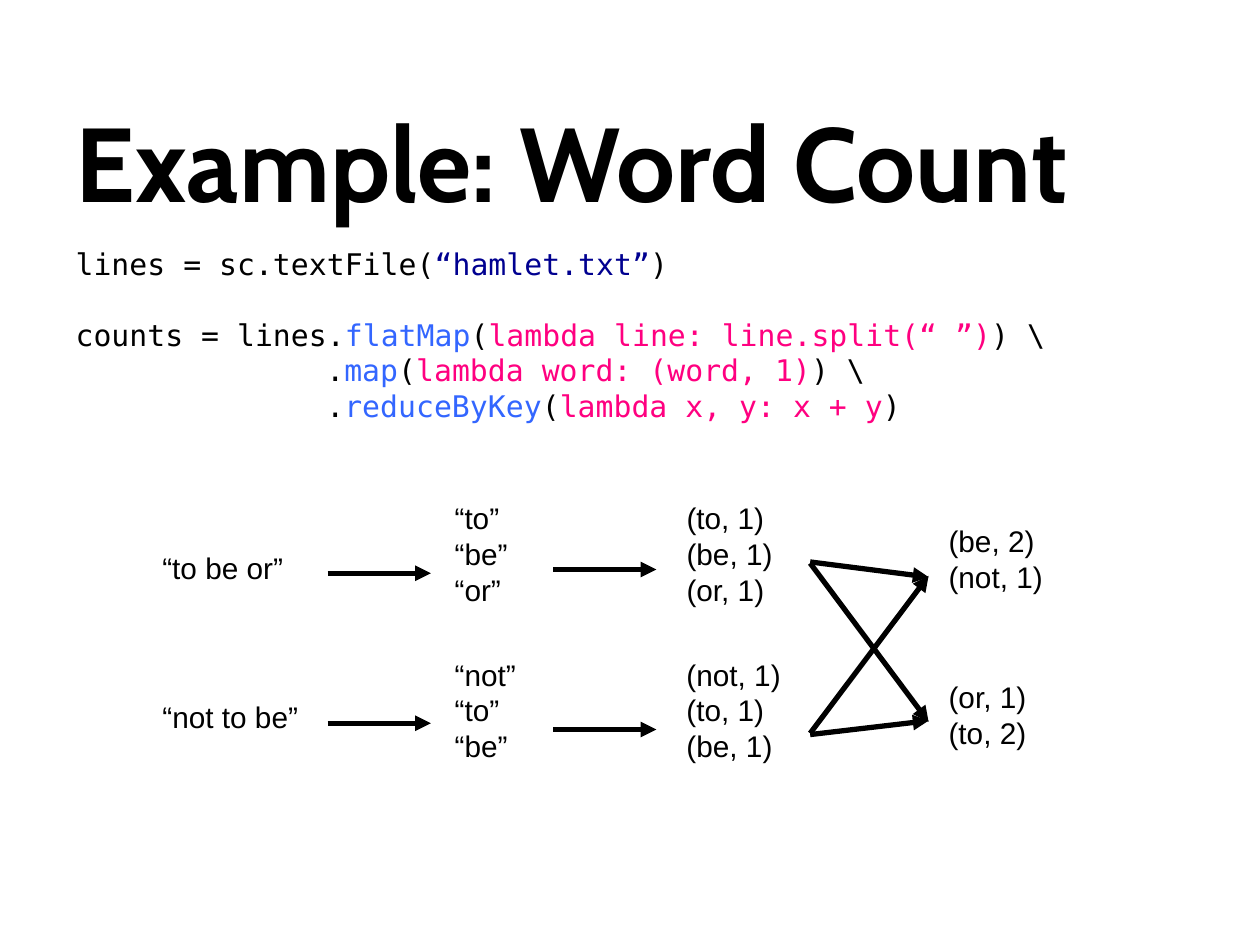
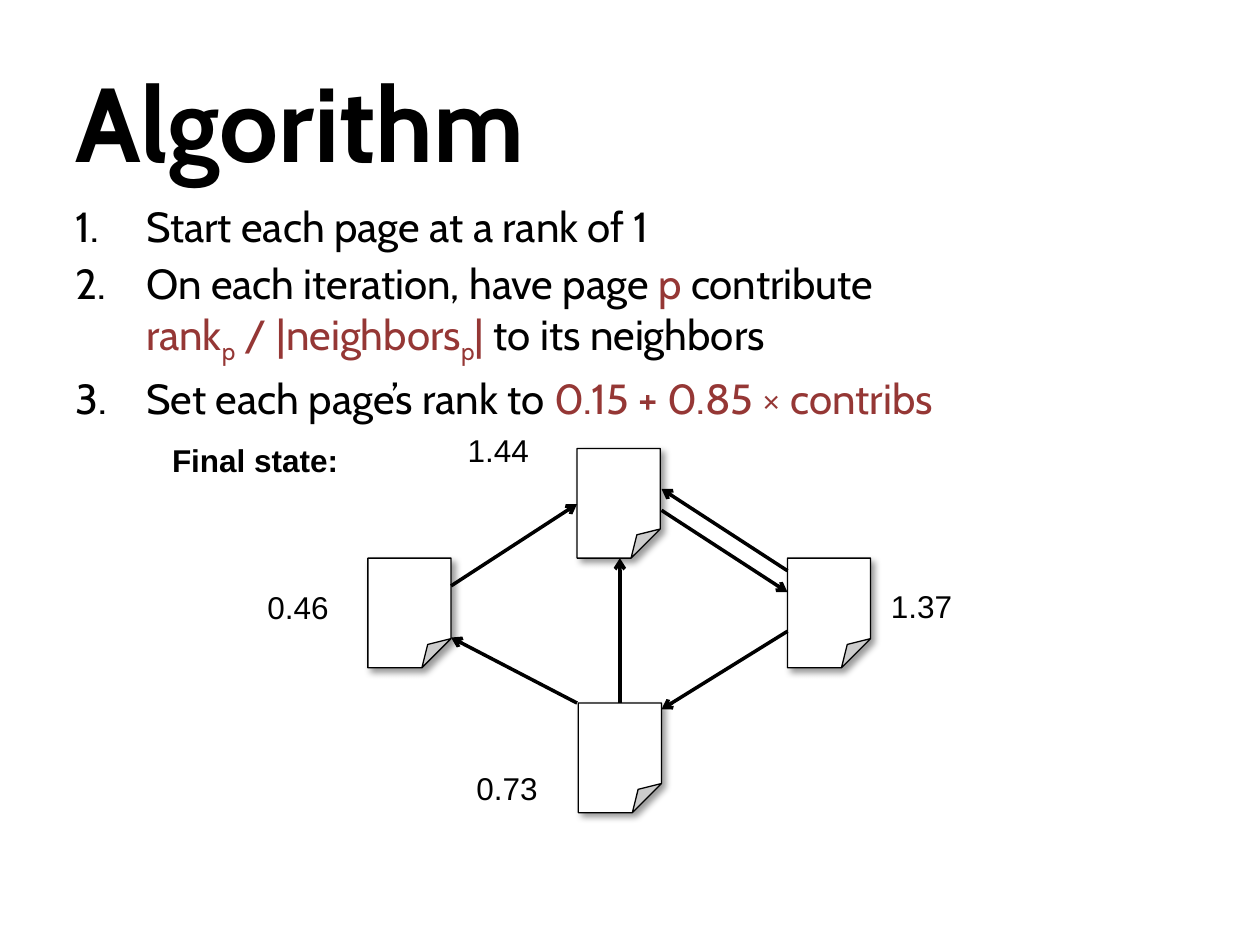
"""Build two slides: a word count data flow and a page rank algorithm."""
import pptx
import pptx.util
import pptx.dml.color
import pptx.enum.shapes
import pptx.enum.text
import pptx.oxml
import pptx.oxml.ns
import lxml.etree
from dataclasses import dataclass

Inches, Pt = pptx.util.Inches, pptx.util.Pt
Align = pptx.enum.text.PP_ALIGN
Fit = pptx.enum.text.MSO_AUTO_SIZE
Shape = pptx.enum.shapes.MSO_SHAPE


@dataclass(frozen=True)
class Theme:
    """Colours, fonts and type sizes."""
    black: str = "000000"
    white: str = "FFFFFF"
    navy: str = "000090"
    blue: str = "3366FF"
    pink: str = "FF0080"
    red: str = "953735"
    head: str = "Cabin"
    mono: str = "DejaVu Sans Mono"
    sans: str = "Arial"
    title: int = 60
    list: int = 24
    code: int = 17
    flow: int = 17
    rank: int = 18


T = Theme()

CODE = [
    [("lines = sc.textFile(", T.black), ("“hamlet.txt”", T.navy), (")", T.black)],
    [("counts = lines.", T.black), ("flatMap", T.blue), ("(", T.black),
     ("lambda line: line.split(“ ”)", T.pink), (") \\\n.", T.black),
     ("map", T.blue), ("(", T.black), ("lambda word: (word, 1)", T.pink),
     (") \\\n.", T.black), ("reduceByKey", T.blue), ("(", T.black),
     ("lambda x, y: x + y", T.pink), (")", T.black)],
]
STEPS = [
    [("Start each page at a rank of 1", T.black)],
    [("On each iteration, have page ", T.black), ("p", T.red),
     (" contribute\n", T.black), ("rank", T.red), ("p", T.red, "sub"),
     (" / |neighbors", T.red), ("p", T.red, "sub"), ("|", T.red),
     (" to its neighbors", T.black)],
    [("Set each page’s rank to ", T.black), ("0.15 + 0.85 × contribs", T.red)],
]

FLOW = [
    (1.19, [(4.31, 1.17, "“to be or”"), (5.5, 1.29, "“not to be”")]),
    (3.51, [(3.92, 0.63, "“to”\n“be”\n“or”"), (5.16, 0.69, "“not”\n“to”\n“be”")]),
    (5.35, [(3.92, 0.89, "(to, 1)\n(be, 1)\n(or, 1)"),
            (5.16, 0.96, "(not, 1)\n(to, 1)\n(be, 1)")]),
    (7.43, [(4.1, 0.96, "(be, 2)\n(not, 1)"), (5.34, 0.82, "(or, 1)\n(to, 2)")]),
]
STRAIGHT = [(2.6, 4.55), (2.6, 5.74), (4.39, 4.52), (4.39, 5.79)]
REACH = 0.82
CROSS = [(4.47, 5.73), (4.46, 4.58), (5.82, 4.57), (5.83, 5.72)]
CROSS_X = (6.43, 7.37)

PAGE = (0.66, 0.87)
PAGES = [(2.92, 4.43), (4.58, 3.56), (6.25, 4.43), (4.59, 5.58)]
LINKS = [
    (4.58, 5.58, 3.58, 5.06), (4.92, 5.58, 4.92, 4.43),
    (3.58, 4.65, 4.58, 4), (6.25, 4.53, 5.25, 3.88),
    (5.25, 4.05, 6.25, 4.7), (6.25, 5.01, 5.25, 5.63),
]
RANKS = [
    (1.88, 4.55, 0.97, "0.46"), (6.83, 4.54, 0.97, "1.37"),
    (3.47, 3.3, 0.97, "1.44"), (3.54, 5.98, 0.97, "0.73"),
    (1.12, 3.38, 1.81, "Final state:"),
]


def rgb(code):
    return pptx.dml.color.RGBColor.from_string(code)


def add(parent, tag, **attrs):
    node = lxml.etree.SubElement(parent, pptx.oxml.ns.qn(tag))
    for name, value in attrs.items():
        node.set(name, str(value))
    return node


def style(para, face, size, color=T.black, bold=None):
    font = para.font
    font.name, font.size, font.bold = face, Pt(size), bold
    font.color.rgb = rgb(color)


def place(shape, left, top, width, height):
    shape.left, shape.top = Inches(left), Inches(top)
    shape.width, shape.height = Inches(width), Inches(height)


def add_slide(deck, title, top):
    slide = deck.slides.add_slide(deck.slide_layouts[1])
    place(slide.shapes.title, 0.5, top, 9, 1.25)
    slide.shapes.title.text = title
    para = slide.shapes.title.text_frame.paragraphs[0]
    para.alignment = Align.LEFT
    style(para, T.head, T.title, bold=True)
    return slide


def fill_body(slide, box, paras, face, size, hang, gaps, mark, **kind):
    body = slide.placeholders[1]
    place(body, *box)
    frame = body.text_frame
    frame.auto_size = Fit.NONE
    for i, (runs, gap) in enumerate(zip(paras, gaps)):
        para = frame.add_paragraph() if i else frame.paragraphs[0]
        props = para._p.get_or_add_pPr()
        props.set("marL", str(Inches(hang)))
        props.set("indent", str(-Inches(hang)))
        add(props, mark, **kind)
        para.space_before = Pt(gap)
        style(para, face, size)
        for text, color, *sub in runs:
            for j, part in enumerate(text.split("\n")):
                if j:
                    para.add_line_break()
                if part:
                    run = para.add_run()
                    run.text = part
                    run.font.color.rgb = rgb(color)
                    if sub:
                        run._r.get_or_add_rPr().set("baseline", "-25000")


def add_label(slide, box, text, size, inset=(0.1, 0.05), align=Align.LEFT, bold=None):
    frame = slide.shapes.add_textbox(*map(Inches, box)).text_frame
    frame.word_wrap, frame.auto_size = False, Fit.SHAPE_TO_FIT_TEXT
    frame.margin_left = frame.margin_right = Inches(inset[0])
    frame.margin_top = frame.margin_bottom = Inches(inset[1])
    para = frame.paragraphs[0]
    para.text = text.replace("\n", "\v")
    para.alignment = align
    style(para, T.sans, size, bold=bold)


def add_arrow(slide, ends, width, tip):
    kind = pptx.enum.shapes.MSO_CONNECTOR.STRAIGHT
    link = slide.shapes.add_connector(kind, *map(Inches, ends))
    link.line.color.rgb = rgb(T.black)
    link.line.width = Pt(width)
    add(link.line._get_or_add_ln(), "a:tailEnd", type=tip)
    add(link._element.spPr, "a:effectLst")


def add_page(slide, spot):
    page = slide.shapes.add_shape(Shape.FOLDED_CORNER, *map(Inches, spot + PAGE))
    props = page._element.spPr
    fold = next(props.iter(pptx.oxml.ns.qn("a:avLst")))
    add(fold, "a:gd", name="adj", fmla="val 35000")
    page.fill.solid()
    page.fill.fore_color.rgb = rgb(T.white)
    page.line.color.rgb = rgb(T.black)
    page.line.width = Pt(0.75)
    page.shadow.inherit = False
    effect = props.find(pptx.oxml.ns.qn("a:effectLst"))
    shade = add(effect, "a:outerShdw", blurRad=Pt(4), dist=Pt(3),
                dir=45 * 60000, algn="tl", rotWithShape=0)
    add(add(shade, "a:srgbClr", val=T.black), "a:alpha", val=40000)


def word_count(deck):
    slide = add_slide(deck, "Example: Word Count", 0.65)
    fill_body(slide, (0.5, 1.9, 9, 2.68), CODE, T.mono, T.code, 1.99, (20, 20), "a:buNone")
    for left, cells in FLOW:
        for top, width, text in cells:
            high = 0.1 + 0.29 * len(text.split("\n"))
            add_label(slide, (left, top, width, high), text, T.flow)
    for x, y in STRAIGHT:
        add_arrow(slide, (x, y, x + REACH, y), 3, "triangle")
    for start, stop in CROSS:
        add_arrow(slide, (CROSS_X[0], start, CROSS_X[1], stop), 3, "triangle")


def page_rank(deck):
    slide = add_slide(deck, "Algorithm", 0.33)
    fill_body(slide, (0.5, 1.54, 9, 2.19), STEPS, T.head, T.list, 0.56, (20, 4, 4),
              "a:buAutoNum", type="arabicPeriod")
    for spot in PAGES:
        add_page(slide, spot)
    for ends in LINKS:
        add_arrow(slide, ends, 2, "arrow")
    for left, top, width, text in RANKS:
        add_label(slide, (left, top, width, 0.54), text, T.rank, (0.24, 0.12),
                  Align.CENTER, text.endswith(":"))


def main():
    deck = pptx.Presentation()
    deck.slide_width, deck.slide_height = Inches(10), Inches(7.5)
    word_count(deck)
    page_rank(deck)
    deck.save("out.pptx")


if __name__ == "__main__":
    main()
